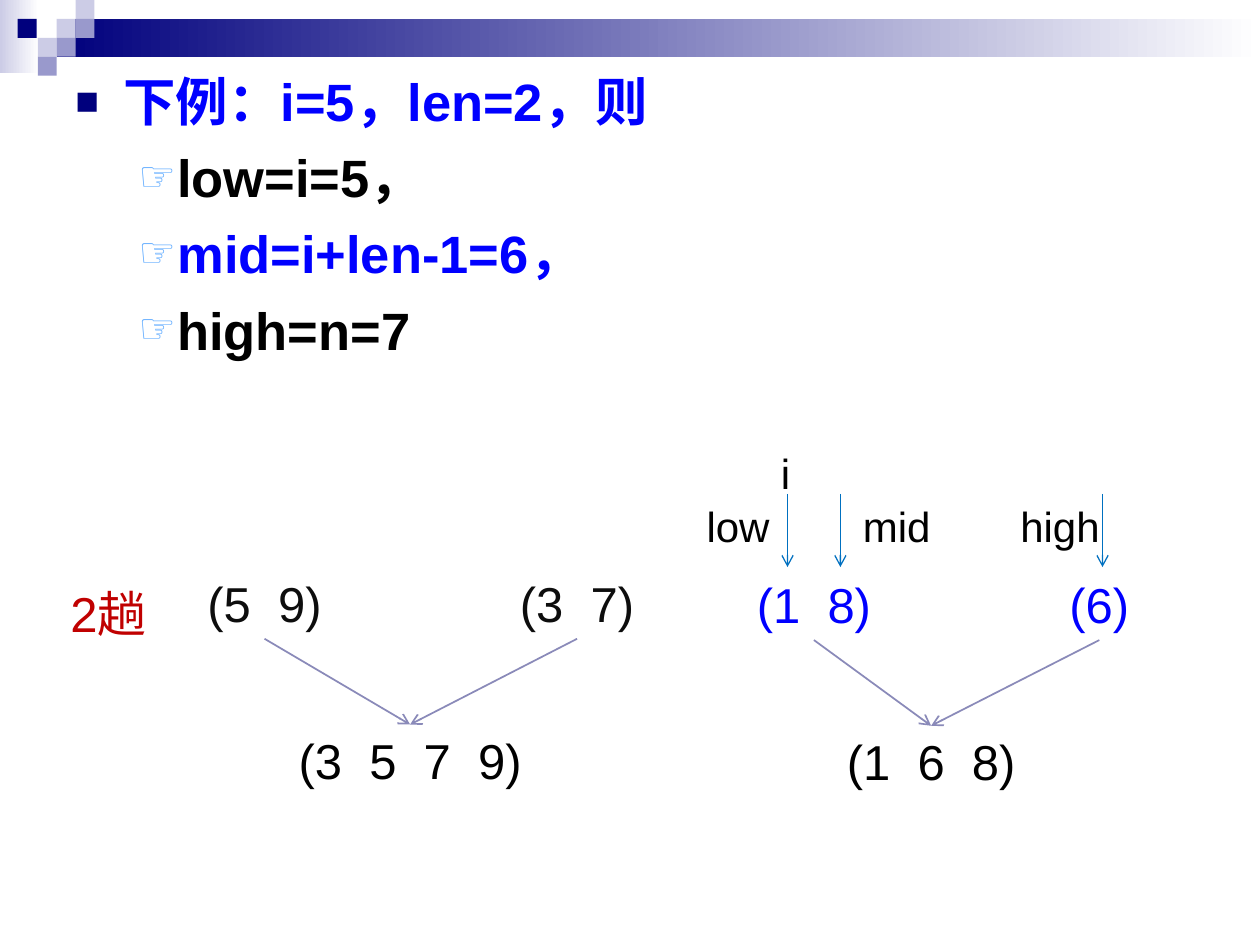
from lxml.etree import SubElement
from pptx import Presentation
from pptx.dml.color import RGBColor
from pptx.enum.shapes import MSO_CONNECTOR, MSO_SHAPE
from pptx.enum.text import MSO_AUTO_SIZE, PP_ALIGN
from pptx.oxml.ns import qn
from pptx.util import Inches, Pt

COLORS = {
    "navy": "00007D", "pale": "CCCCE6", "lilac": "9999CC", "white": "FFFFFF",
    "blue": "0000FF", "black": "000000", "ink": "0D0D0D", "red": "C00000",
    "hand": "67AFFF", "merge": "8A8AB9", "pointer": "0070C0",
}
FONT = "Arial"

# Banner: left, top, width, height, fill (two colours make a gradient)
BANDS = [
    (0, 0, 0.31, 0.58, ("pale", "white")),
    (0.45, 0.15, 9.55, 0.3, ("navy", "white")),
]
TILE = 0.15
TILES = [  # left, top, colour
    (0.45, 0.15, "pale"), (0.6, 0, "pale"), (0.6, 0.15, "lilac"),
    (0.3, 0.3, "pale"), (0.14, 0.15, "navy"), (0.45, 0.3, "lilac"),
    (0.3, 0.45, "lilac"),
]

# Bullet list: level, text, colour
BULLETS = [
    (0, "下例：i=5，len=2，则", "blue"),
    (1, "low=i=5，", "black"),
    (1, "mid=i+len-1=6，", "blue"),
    (1, "high=n=7", "black"),
]
LEVELS = [  # bullet, colour, size in percent, text margin, hanging indent
    ("■", "navy", 75, 0.38, 0.38),
    ("☞", "hand", 80, 0.81, 0.31),
]

# Merges: top, source colour, sources, result; each run is text, left, width
MERGES = [
    (4.51, "blue", [("(1  8)", 5.89, 1.14), ("(6)", 8.37, 0.71)],
     ("(1  6  8)", 6.6, 1.58)),
    (4.5, "ink", [("(5  9)", 1.53, 1.14), ("(3  7)", 4.01, 1.14)],
     ("(3  5  7  9)", 2.25, 2.01)),
]
MERGE_DROP, RUN_H = 1.25, 0.57

# Index labels: text, left, top, width
LABELS = [("i", 6.1, 3.5, 0.3), ("low", 5.51, 3.92, 0.74),
          ("mid", 6.75, 3.92, 0.77), ("high", 8, 3.92, 0.87)]
POINTER_X = [6.25, 6.67, 8.75]
POINTER_TOP, POINTER_END = 3.92, 4.5


def rgb(name):
    return RGBColor.from_string(COLORS[name])


def add_rect(left, top, width, height, *fill):
    sp = shapes.add_shape(MSO_SHAPE.RECTANGLE, Inches(left), Inches(top),
                          Inches(width), Inches(height))
    sp.shadow.inherit = False
    sp.line.fill.background()
    if len(fill) == 1:
        sp.fill.solid()
        sp.fill.fore_color.rgb = rgb(fill[0])
        return
    sp.fill.gradient()
    sp.fill.gradient_angle = 0
    for position, (stop, name) in enumerate(zip(sp.fill.gradient_stops, fill)):
        stop.position = position
        stop.color.rgb = rgb(name)


def write(p, text, size=28, color="black", bold=False, align=None):
    p.alignment = align
    r = p.add_run()
    r.text = text
    r.font.name = FONT
    r.font.size = Pt(size)
    r.font.bold = bold
    r.font.color.rgb = rgb(color)


def add_box(left, top, width, height, wrap=False):
    sp = shapes.add_textbox(Inches(left), Inches(top), Inches(width), Inches(height))
    sp.text_frame.word_wrap = wrap
    if not wrap:
        sp.text_frame.auto_size = MSO_AUTO_SIZE.SHAPE_TO_FIT_TEXT
    return sp


def add_label(text, left, top, width, height, **fmt):
    sp = add_box(left, top, width, height)
    write(sp.text_frame.paragraphs[0], text, **fmt)
    return sp


def set_bullet(p, char, color, percent, margin, hanging):
    pPr = p._p.get_or_add_pPr()
    pPr.set("marL", str(Inches(margin)))
    pPr.set("indent", str(-Inches(hanging)))
    clr = SubElement(pPr, qn("a:buClr"))
    SubElement(clr, qn("a:srgbClr"), val=COLORS[color])
    SubElement(pPr, qn("a:buSzPct"), val=str(percent * 1000))
    SubElement(pPr, qn("a:buFont"), typeface=FONT)
    SubElement(pPr, qn("a:buChar"), char=char)


def add_arrow(color, width, x1=0, y1=0, x2=0, y2=0):
    cxn = shapes.add_connector(MSO_CONNECTOR.STRAIGHT, Inches(x1), Inches(y1),
                               Inches(x2), Inches(y2))
    cxn.line.color.rgb = rgb(color)
    cxn.line.width = Pt(width)
    SubElement(cxn.line._get_or_add_ln(), qn("a:tailEnd"), type="arrow")
    SubElement(cxn._element.spPr, qn("a:effectLst"))
    return cxn


prs = Presentation()
prs.slide_width, prs.slide_height = Inches(10), Inches(7.5)
shapes = prs.slides.add_slide(prs.slide_layouts[6]).shapes

# Banner
for *place, fill in BANDS:
    add_rect(*place, *fill)
for left, top, color in TILES:
    add_rect(left, top, TILE, TILE, color)

# Bullet list
tf = add_box(0.5, 0.5, 9, 7, wrap=True).text_frame
for n, (level, text, color) in enumerate(BULLETS):
    p = tf.add_paragraph() if n else tf.paragraphs[0]
    p.level = level
    set_bullet(p, *LEVELS[level])
    if n:
        p.space_before = Pt(7.5)
    write(p, text, size=30, color=color, bold=True)

# Merge trees
for top, color, sources, (text, left, width) in MERGES:
    result = add_label(text, left, top + MERGE_DROP, width, RUN_H,
                       align=PP_ALIGN.CENTER)
    for text, left, width in sources:
        source = add_label(text, left, top, width, RUN_H, color=color,
                           align=PP_ALIGN.CENTER)
        cxn = add_arrow("merge", 1)
        cxn.begin_connect(source, 2)
        cxn.end_connect(result, 0)

# Index labels and pointers
for text, left, top, width in LABELS:
    add_label(text, left, top, width, 0.5, size=24)
for x in POINTER_X:
    add_arrow("pointer", 0.75, x, POINTER_TOP, x, POINTER_END)

# Pass number
add_label("2趟", 0.46, 4.58, 0.94, RUN_H, color="red")

prs.save("out.pptx")
